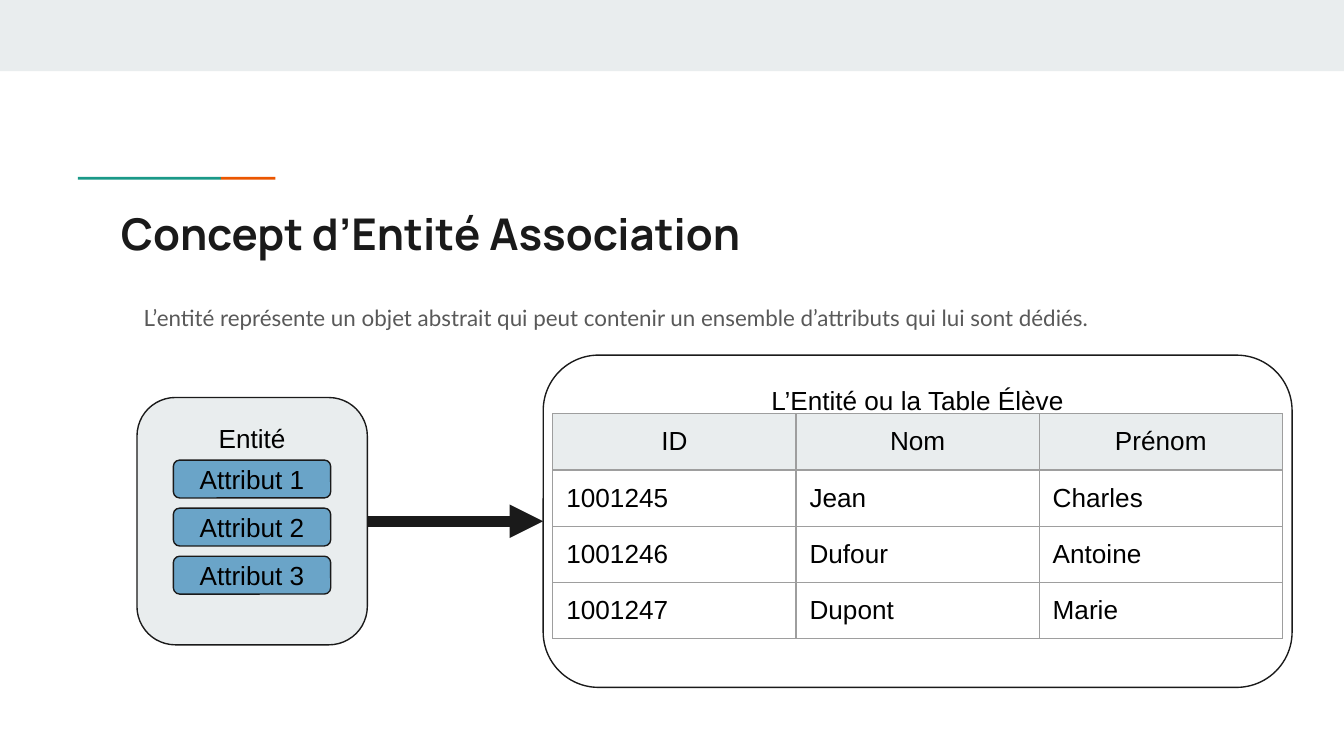
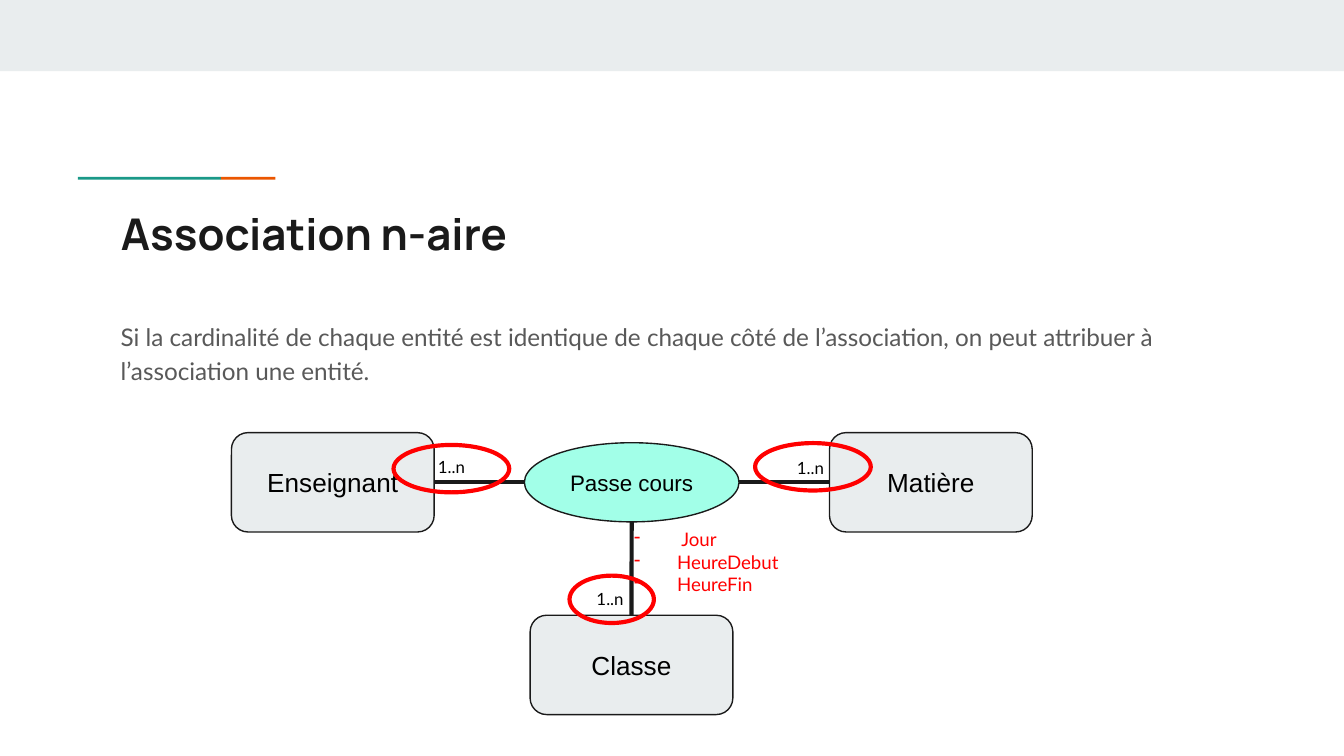
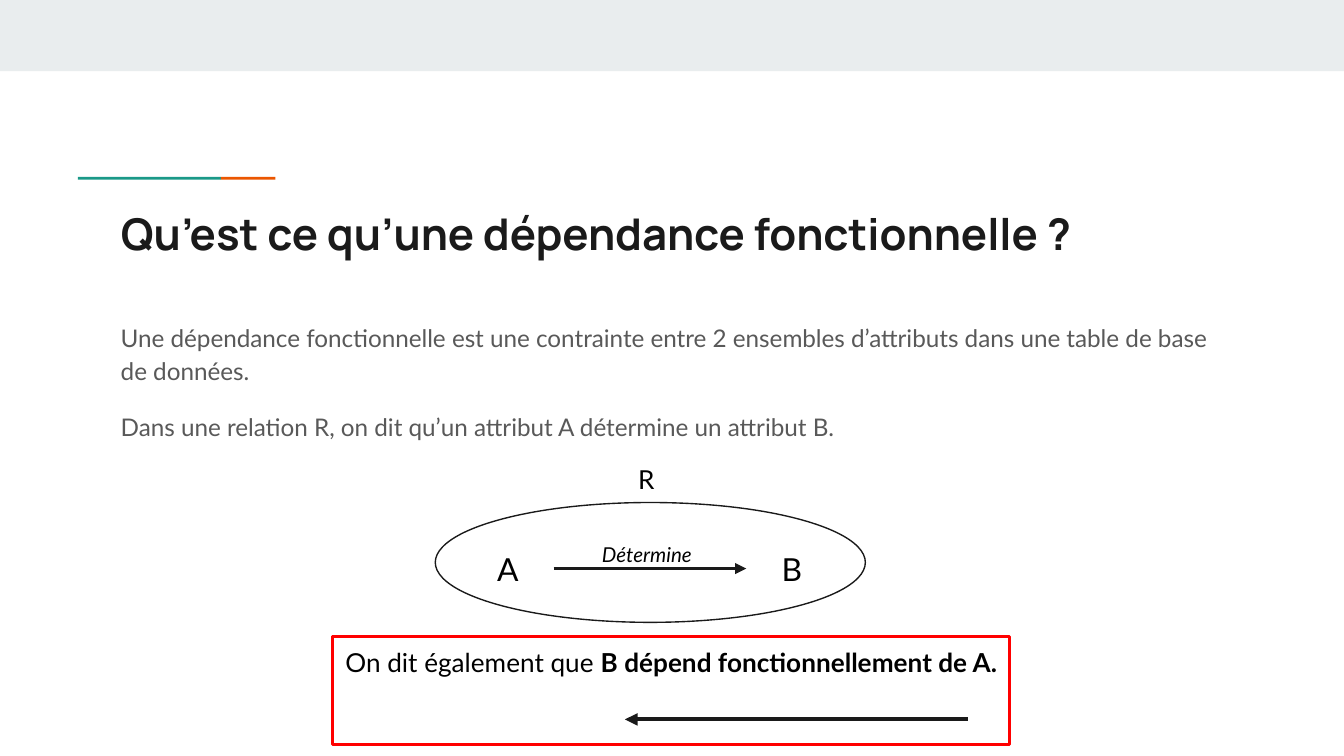
from lxml import etree
from pptx import Presentation
from pptx.dml.color import RGBColor
from pptx.enum.shapes import MSO_CONNECTOR, MSO_SHAPE as SHAPE
from pptx.enum.text import MSO_ANCHOR as ANCHOR, MSO_AUTO_SIZE, PP_ALIGN as ALIGN
from pptx.oxml.ns import qn
from pptx.util import Pt

INK, BLACK, GREY, RED = "1A1A1A", "000000", "595959", "FF0000"
PALE, BLUE, MINT = "E9EDEE", "6AA4C8", "A2FFE8"
TEAL, ORANGE, BORDER = "1A9988", "EB5600", "9E9E9E"
INSET = 7.2
TITLE_BOX = (57.6, 103.7, 605.5, 42.5)
TOP, LEFT, BOTTOM, RIGHT = range(4)


def rgb(color):
    return RGBColor.from_string(color)


def pts(box):
    return [Pt(v) for v in box]


def add_run(p, text, size, font="Arial", color=BLACK, **attrs):
    r = p.add_run()
    r.text = text
    for name, value in {"size": Pt(size), "name": font, **attrs}.items():
        setattr(r.font, name, value)
    r.font.color.rgb = rgb(color)


def set_text(tf, lines, size, align=ALIGN.LEFT, anchor=ANCHOR.TOP, para=None, **font):
    """Write one paragraph per line; para holds paragraph format values."""
    frame = {"word_wrap": True, "auto_size": MSO_AUTO_SIZE.NONE, "vertical_anchor": anchor}
    frame.update({f"margin_{side}": Pt(INSET) for side in ("left", "top", "right", "bottom")})
    for name, value in frame.items():
        setattr(tf, name, value)
    for i, line in enumerate(lines):
        p = tf.add_paragraph() if i else tf.paragraphs[0]
        for name, value in {"alignment": align, **(para or {})}.items():
            setattr(p, name, value)
        add_run(p, line, size, **font)


def add_text(shapes, box, lines, size, **fmt):
    tf = shapes.add_textbox(*pts(box)).text_frame
    set_text(tf, lines, size, **{"font": "Lato", **fmt})
    return tf


def add_box(shapes, kind, box, fill=None, line=INK, width=0.75, text=None,
            size=14, anchor=ANCHOR.MIDDLE):
    sp = shapes.add_shape(kind, *pts(box))
    sp.shadow.inherit = False
    if fill:
        sp.fill.solid()
        sp.fill.fore_color.rgb = rgb(fill)
    else:
        sp.fill.background()
    if line:
        sp.line.color.rgb = rgb(line)
        sp.line.width = Pt(width)
    else:
        sp.line.fill.background()
    if text:
        set_text(sp.text_frame, [text], size, align=ALIGN.CENTER, anchor=anchor)
    return sp


def add_line(shapes, start, end, width, arrow=False):
    cx = shapes.add_connector(MSO_CONNECTOR.STRAIGHT, *pts(start + end))
    cx.line.color.rgb = rgb(INK)
    cx.line.width = Pt(width)
    if arrow:
        etree.SubElement(cx.line._get_or_add_ln(), qn("a:tailEnd"), type="triangle")
    etree.SubElement(cx.element.spPr, qn("a:effectLst"))
    return cx


def add_bullets(tf, char, color):
    for p in tf.paragraphs:
        pPr = p._p.get_or_add_pPr()
        pPr.set("marL", str(Pt(36)))
        pPr.set("indent", str(Pt(-23)))
        clr = etree.SubElement(pPr, qn("a:buClr"))
        etree.SubElement(clr, qn("a:srgbClr"), val=color)
        etree.SubElement(pPr, qn("a:buChar"), char=char)


def set_borders(cell, color, width):
    tcPr = cell._tc.get_or_add_tcPr()
    for i, side in enumerate(("lnL", "lnR", "lnT", "lnB")):
        ln = etree.Element(qn(f"a:{side}"), w=str(Pt(width)))
        fill = etree.SubElement(ln, qn("a:solidFill"))
        etree.SubElement(fill, qn("a:srgbClr"), val=color)
        tcPr.insert(i, ln)


def add_table(shapes, left, top, col_width, row_height, rows):
    n_rows, n_cols = len(rows), len(rows[0])
    box = (left, top, n_cols * col_width, n_rows * row_height)
    table = shapes.add_table(n_rows, n_cols, *pts(box)).table
    table.horz_banding = False
    for i, row in enumerate(rows):
        for j, value in enumerate(row):
            cell = table.cell(i, j)
            for side in ("left", "top", "right", "bottom"):
                setattr(cell, f"margin_{side}", Pt(INSET))
            p = cell.text_frame.paragraphs[0]
            p.alignment = ALIGN.LEFT if i else ALIGN.CENTER
            add_run(p, value, 14, bold=False)
            if i:
                cell.fill.background()
            else:
                cell.fill.solid()
                cell.fill.fore_color.rgb = rgb(PALE)
            set_borders(cell, BORDER, 0.75)


def decorate_layout(slide):
    """Draw the band and the accent rule, then move them to the slide's layout."""
    tree = slide.slide_layout.shapes.element
    for box, color in (((0, 0, 720, 38.2), PALE),
                       ((41.8, 94.7, 76.6, 1.5), TEAL),
                       ((118.4, 94.7, 29.2, 1.5), ORANGE)):
        tree.append(add_box(slide.shapes, SHAPE.RECTANGLE, box, color, line=None).element)


def add_slide(prs, title):
    slide = prs.slides.add_slide(prs.slide_layouts[5])
    sp = slide.shapes.title
    sp.left, sp.top, sp.width, sp.height = pts(TITLE_BOX)
    set_text(sp.text_frame, [title], 23.4, font="Manrope", color=INK, bold=True)
    return slide


def add_body(shapes, box, lines, size=13):
    add_text(shapes, box, lines, size, color=GREY,
             para={"line_spacing": 1.15, "space_after": Pt(12)})


def entity_slide(prs):
    slide = add_slide(prs, "Concept d’Entité Association")
    decorate_layout(slide)
    shapes = slide.shapes
    add_body(shapes, (69.8, 153.4, 605.5, 28.8), [
        "L’entité représente un objet abstrait qui peut contenir un ensemble "
        "d’attributs qui lui sont dédiés."], 12)
    entity = add_box(shapes, SHAPE.ROUNDED_RECTANGLE, (73.4, 213, 123.4, 132.5), PALE,
                     text="Entité", anchor=ANCHOR.TOP)
    for i in range(3):
        add_box(shapes, SHAPE.ROUNDED_RECTANGLE, (92.9, 246.5 + i * 25.75, 84.3, 20.3),
                BLUE, text=f"Attribut {i + 1}")
    add_table(shapes, 296.2, 221.6, 130.3, 30.1, [
        ("ID", "Nom", "Prénom"),
        ("1001245", "Jean", "Charles"),
        ("1001246", "Dufour", "Antoine"),
        ("1001247", "Dupont", "Marie"),
    ])
    student = add_box(shapes, SHAPE.ROUNDED_RECTANGLE, (291, 190.25, 401.2, 178),
                      text="L’Entité ou la Table Élève", anchor=ANCHOR.TOP)
    arrow = add_line(shapes, (196.8, 279.25), (291, 279.25), 6, arrow=True)
    arrow.begin_connect(entity, RIGHT)
    arrow.end_connect(student, LEFT)


def association_slide(prs):
    shapes = add_slide(prs, "Association n-aire").shapes
    add_body(shapes, (57.6, 163.4, 605.5, 53.3), [
        "Si la cardinalité de chaque entité est identique de chaque côté de "
        "l’association, on peut attribuer à l’association une entité."])
    teacher, subject, group = [
        add_box(shapes, SHAPE.ROUNDED_RECTANGLE, (x, y, 108.6, 53.2), PALE, text=name)
        for name, x, y in (("Enseignant", 124, 231.8), ("Matière", 444.4, 231.8),
                           ("Classe", 284, 329.6))]
    add_box(shapes, SHAPE.OVAL, (280.9, 237.2, 115, 42.4), MINT, text="Passe cours", size=12)
    for entity, side, start in ((teacher, RIGHT, (280.9, 258.4)),
                                (subject, LEFT, (395.9, 258.4)),
                                (group, TOP, (338.4, 279.6))):
        add_line(shapes, start, start, 2.25).end_connect(entity, side)
    for box in ((227.5, 237.6, 37.4, 25), (419.8, 238.2, 37.4, 25), (312.5, 308.2, 30, 25)):
        add_text(shapes, box, ["1..n"], 9)
    tf = add_text(shapes, (319.7, 275.8, 105.8, 51), [" Jour", "HeureDebut", "HeureFin"],
                  10, color=RED)
    add_bullets(tf, "-", RED)
    for x, y, width in ((210.8, 238.4, 62), (404.5, 237.4, 62), (305.1, 308.4, 45.2)):
        add_box(shapes, SHAPE.OVAL, (x, y, width, 25.4), line=RED, width=2.25)


def dependency_slide(prs):
    shapes = add_slide(prs, "Qu’est ce qu’une dépendance fonctionnelle ?").shapes
    add_body(shapes, (57.6, 163.4, 605.5, 87), [
        "Une dépendance fonctionnelle est une contrainte entre 2 ensembles "
        "d’attributs dans une table de base de données.",
        "Dans une relation R, on dit qu’un attribut A détermine un attribut B."])
    relation = shapes.add_group_shape().shapes
    for name, x in (("A", 247.6), ("B", 399.8)):
        add_text(relation, (x, 287.2, 49, 35), [name], 17, align=ALIGN.CENTER)
    add_line(relation, (296.6, 304.6), (399.8, 304.6), 1.5, arrow=True)
    add_text(relation, (315.4, 283, 66, 28), ["Détermine"], 11, italic=True)
    add_box(relation, SHAPE.OVAL, (233.2, 269.2, 230.4, 64.2))
    add_text(shapes, (334.8, 241.2, 27, 31.7), ["R"], 14)
    tf = add_text(shapes, (74.2, 339.1, 571, 31.7), ["On dit également que "], 14,
                  align=ALIGN.CENTER)
    add_run(tf.paragraphs[0], "B dépend fonctionnellement de A.", 14, "Lato", bold=True)
    add_line(shapes, (518.4, 385.4), (334.8, 385.4), 2.25, arrow=True)
    add_box(shapes, SHAPE.RECTANGLE, (178, 341, 363, 57.8), line=RED, width=1.5)


def main():
    prs = Presentation()
    prs.slide_width, prs.slide_height = Pt(720), Pt(405)
    entity_slide(prs)
    association_slide(prs)
    dependency_slide(prs)
    prs.save("out.pptx")


if __name__ == "__main__":
    main()
